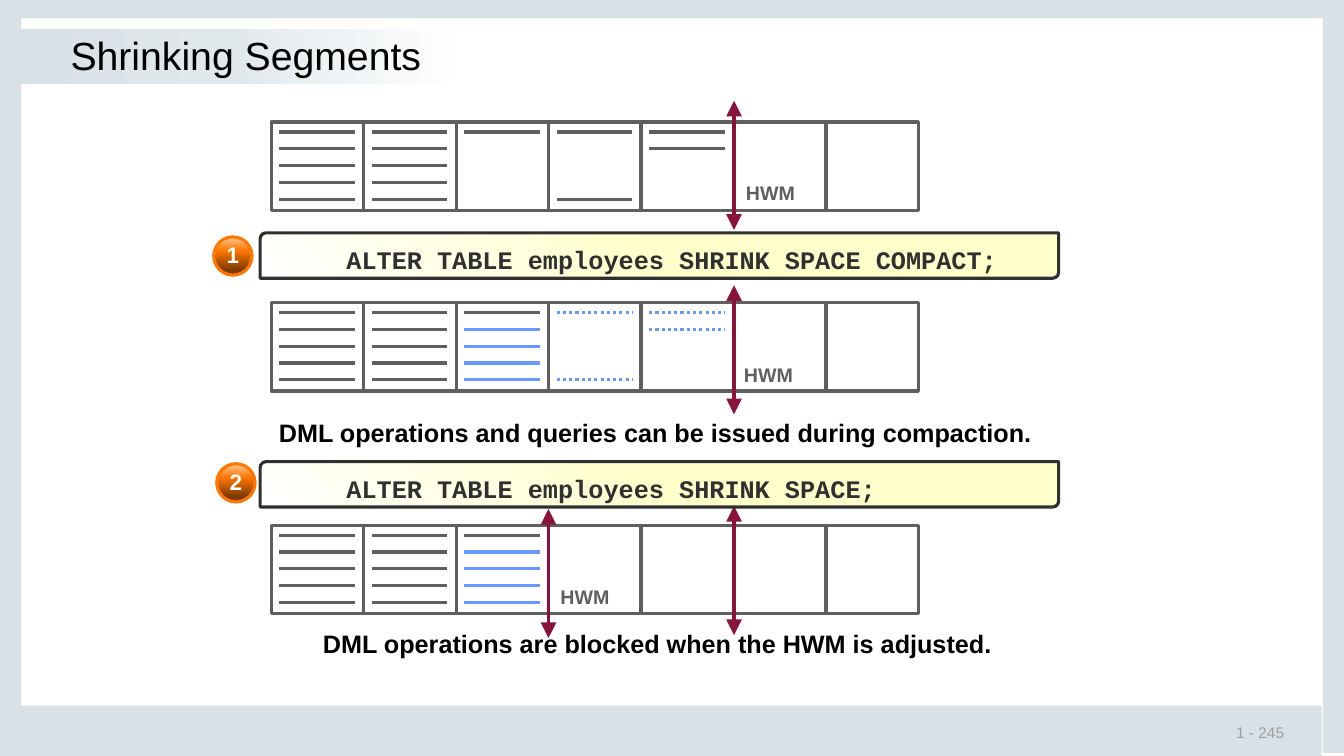
from lxml import etree
from pptx import Presentation
from pptx.dml.color import RGBColor
from pptx.enum.dml import MSO_LINE
from pptx.enum.shapes import MSO_CONNECTOR, MSO_SHAPE
from pptx.enum.text import MSO_ANCHOR, MSO_AUTO_SIZE, PP_ALIGN
from pptx.oxml.ns import qn
from pptx.util import Inches, Pt

RECTANGLE, OVAL = MSO_SHAPE.RECTANGLE, MSO_SHAPE.OVAL
DIAGONAL = MSO_SHAPE.ROUND_2_DIAG_RECTANGLE
STRAIGHT, DOTTED = MSO_CONNECTOR.STRAIGHT, MSO_LINE.ROUND_DOT
TOP, MIDDLE = MSO_ANCHOR.TOP, MSO_ANCHOR.MIDDLE
LEFT, CENTER = PP_ALIGN.LEFT, PP_ALIGN.CENTER
FIT_SHAPE, FIT_NONE = MSO_AUTO_SIZE.SHAPE_TO_FIT_TEXT, MSO_AUTO_SIZE.NONE

COLORS = {
    "frame": "D8E1E6", "frame_mid": "E1E8EC", "white": "FFFFFF",
    "black": "000000", "gray": "5F5F5F", "number": "9F9F9F",
    "moved": "6699FF", "mark": "8A133B", "code": "303030", "cream": "FFFFCC",
    "peach": "FFC999", "orange": "FF7700", "brown": "803C00",
}
BAND = [(0, "frame"), (47, "frame_mid"), (100, "white")]
PAPER = [(0, "cream"), (50, "cream"), (100, "white")]
BALL = [(0, "peach"), (36, "orange"), (85, "brown")]

# Rows of a block: S = data, M = moved in, D = moved out, . = empty
ROW_STYLES = {"S": ("gray", None), "M": ("moved", None), "D": ("moved", DOTTED)}
BLOCK_LEFT, BLOCK_PITCH, BLOCK_HEIGHT = 2.69, 0.917, 0.88
ROW_PITCH = 0.167
SEGMENTS = [
    (1.21, ["SSSSS", "SSSSS", "S....", "S...S", "SS...", "", ""]),
    (3.0, ["SSSSS", "SSSSS", "SMMMM", "D...D", "DD...", "", ""]),
    (5.21, ["SSSSS", "SSSSS", "SMMMM", "", "", "", ""]),
]
MARKS = [(7.28, 1.0), (7.28, 2.83), (7.28, 5.02), (5.44, 5.05)]
MARK_LABELS = [(7.3, 1.75), (7.28, 3.55), (5.46, 5.75)]
STATEMENTS = [
    (2.31, "1", 2.12, 2.35, "ALTER TABLE employees SHRINK SPACE COMPACT;"),
    (4.58, "2", 2.15, 4.6, "ALTER TABLE employees SHRINK SPACE;"),
]
CAPTIONS = [
    (2.08, 4.09, "DML operations and queries can be issued during compaction."),
    (2.1, 6.18, "DML operations are blocked when the HWM is adjusted."),
]


def color(name):
    return RGBColor.from_string(COLORS[name])


def write(frame, text, size, tint, font="Arial", bold=False, align=LEFT,
          anchor=TOP, insets=(0.1, 0.05, 0.1, 0.05), wrap=True, fit=FIT_NONE,
          indent=0, spacing=None):
    frame.margin_left, frame.margin_top, frame.margin_right, frame.margin_bottom = (
        Inches(inset) for inset in insets)
    frame.word_wrap, frame.auto_size, frame.vertical_anchor = wrap, fit, anchor
    para = frame.paragraphs[0]
    para.alignment = align
    para.space_before = Pt(0)
    if spacing:
        para.line_spacing = spacing
    if indent:
        properties = para._p.get_or_add_pPr()
        properties.set("marL", str(Inches(indent)))
        properties.set("indent", "0")
    span = para.add_run()
    span.text = text
    span.font.name, span.font.size, span.font.bold = font, Pt(size), bold
    span.font.color.rgb = color(tint)


class Slide:
    def __init__(self, deck):
        self.line_width = Pt(2.25)
        self.page = deck.slides.add_slide(deck.slide_layouts[5])

    def title(self, text, left, top, width, height, **style):
        box = self.page.shapes.title
        box.left, box.top, box.width, box.height = map(
            Inches, (left, top, width, height))
        write(box.text_frame, text, **style)
        self.page.shapes._spTree.append(box._element)  # above the title band

    def shape(self, kind, left, top, width, height, fill=None, line=None,
              stops=None, angle=0):
        box = self.page.shapes.add_shape(
            kind, *map(Inches, (left, top, width, height)))
        box.shadow.inherit = False
        if stops:
            box.fill.gradient()
            box.fill.gradient_angle = -angle % 360
            stop_list = box._element.spPr.find(".//" + qn("a:gsLst"))
            for stop in list(stop_list):
                stop_list.remove(stop)
            for place, name in stops:
                stop = etree.SubElement(stop_list, qn("a:gs"), pos=str(place * 1000))
                etree.SubElement(stop, qn("a:srgbClr"), val=COLORS[name])
        elif fill:
            box.fill.solid()
            box.fill.fore_color.rgb = color(fill)
        else:
            box.fill.background()
        if line:
            box.line.color.rgb = color(line)
            box.line.width = self.line_width
        else:
            box.line.fill.background()
        return box

    def line(self, start, end, tint, dash=None, arrows=False):
        connector = self.page.shapes.add_connector(
            STRAIGHT, *map(Inches, (*start, *end)))
        connector.line.color.rgb = color(tint)
        connector.line.width = self.line_width
        if dash:
            connector.line.dash_style = dash
        if arrows:
            outline = connector.line._get_or_add_ln()
            for tag in ("a:headEnd", "a:tailEnd"):
                etree.SubElement(outline, qn(tag), type="triangle", w="lg", len="lg")
        etree.SubElement(connector._element.spPr, qn("a:effectLst"))

    def text(self, text, left, top, width, height, **style):
        box = self.page.shapes.add_textbox(
            *map(Inches, (left, top, width, height)))
        write(box.text_frame, text, **style)

    def segment(self, top, blocks):
        for column, rows in enumerate(blocks):
            left = BLOCK_LEFT + column * BLOCK_PITCH
            self.shape(RECTANGLE, left, top, BLOCK_PITCH, BLOCK_HEIGHT, line="gray")
            for index, row in enumerate(rows):
                if row in ROW_STYLES:
                    y = top + 0.1 + index * ROW_PITCH
                    self.line((left + 0.08, y), (left + 0.83, y), *ROW_STYLES[row])

    def statement(self, top, number, ball_left, ball_top, code):
        box = self.shape(DIAGONAL, 2.58, top, 7.92, 0.45, line="code",
                         stops=PAPER, angle=135)
        box.adjustments[0], box.adjustments[1] = 0.13, 0
        write(box.text_frame, code, 18, "code", font="Courier New", bold=True,
              insets=(0.1, 0.1, 0.01, 0.01), indent=0.74)
        ball = self.shape(OVAL, ball_left, ball_top, 0.38, 0.38, line="orange",
                          stops=BALL, angle=90)
        write(ball.text_frame, number, 16, "white", bold=True, align=CENTER,
              anchor=MIDDLE, insets=(0.05,) * 4, wrap=False, spacing=0.95)


def main():
    deck = Presentation()
    deck.slide_width, deck.slide_height = Inches(13.33), Inches(7.5)
    slide = Slide(deck)

    # Frame, page number and title
    for area in [(13.12, -0.03, 0.21, 7.5), (0, -0.03, 0.21, 7.49),
                 (-0.22, 7, 13.33, 0.5), (0, -0.03, 13.33, 0.21)]:
        slide.shape(RECTANGLE, *area, fill="frame")
    slide.text("1 - 245", 12.13, 7.17, 1.18, 0.2, size=11, tint="number",
               anchor=MIDDLE, insets=(0.13, 0.07, 0.13, 0.07))
    slide.shape(RECTANGLE, 0.2, 0.29, 4.41, 0.54, stops=BAND)
    slide.title("Shrinking Segments", 0.68, 0.29, 11.97, 0.96, size=28,
                tint="black", insets=(0.02,) * 4)

    # Segments with their high-water marks
    for top, blocks in SEGMENTS:
        slide.segment(top, blocks)
    for x, top in MARKS:
        slide.line((x, top + 1.28), (x, top), "mark", arrows=True)
    for left, top in MARK_LABELS:
        slide.text("HWM", left, top, 0.69, 0.33, size=14, tint="gray",
                   bold=True, wrap=False, fit=FIT_SHAPE)

    # Statements and captions
    for left, top, caption in CAPTIONS:
        slide.text(caption, left, top, 8.59, 0.4, size=18, tint="black",
                   bold=True, align=CENTER, fit=FIT_SHAPE, indent=0.25)
    for statement in STATEMENTS:
        slide.statement(*statement)

    deck.save("out.pptx")


if __name__ == "__main__":
    main()
